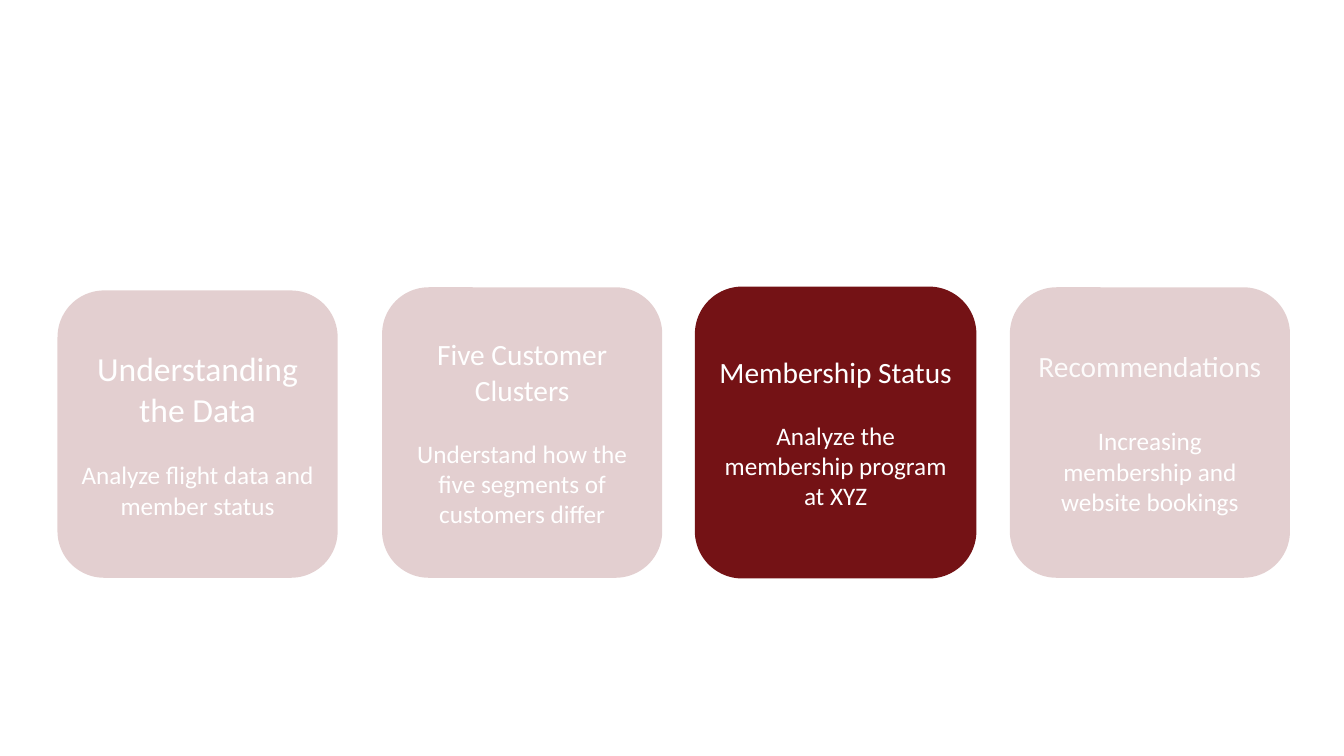
from dataclasses import dataclass

from lxml.etree import SubElement
from pptx import Presentation
from pptx.dml.color import RGBColor
from pptx.enum.shapes import MSO_SHAPE
from pptx.enum.text import MSO_ANCHOR, PP_ALIGN
from pptx.oxml.ns import qn
from pptx.util import Cm, Pt

COLORS = {"maroon": "741215", "white": "FFFFFF"}
FONT = "Calibri"

# Card geometry in centimetres
CARD_WIDTH = 7.06
CARD_TOP = 7.24
CARD_BOTTOM = 14.56


@dataclass
class Card:
    left: float
    heading: str
    detail: str
    top: float = CARD_TOP
    heading_size: int = 21
    gap: int = 22
    active: bool = False
    text_opacity: int = 100


CARDS = [
    Card(1.45, "Understanding the Data", "Analyze flight data and member status",
         top=7.32, heading_size=24),
    Card(9.63, "Five Customer Clusters",
         "Understand how the five segments of customers differ"),
    Card(25.45, "Recommendations", "Increasing membership and website bookings",
         gap=30, text_opacity=92),
    Card(17.53, "Membership Status", "Analyze the membership program at XYZ",
         active=True),
]


def paint(fill, color: str, opacity: int = 100) -> None:
    """Apply a solid colour, adding an alpha value when it is see-through."""
    fill.solid()
    fill.fore_color.rgb = RGBColor.from_string(COLORS[color])
    if opacity < 100:
        color_element = fill._xPr.find(qn("a:solidFill"))[0]
        SubElement(color_element, qn("a:alpha")).set("val", str(opacity * 1000))


def write_line(para, text: str, size: int, opacity: int) -> None:
    para.alignment = PP_ALIGN.CENTER
    span = para.add_run()
    span.text = text
    span.font.name = FONT
    span.font.size = Pt(size)
    paint(span.font.fill, "white", opacity)


def draw_card(page, card: Card) -> None:
    box = page.shapes.add_shape(
        MSO_SHAPE.ROUNDED_RECTANGLE, Cm(card.left), Cm(card.top),
        Cm(CARD_WIDTH), Cm(CARD_BOTTOM - card.top))
    box.shadow.inherit = False

    # The current section is solid, the others are faded
    paint(box.fill, "maroon", 100 if card.active else 20)
    if card.active:
        paint(box.line.fill, "maroon")
        box.line.width = Pt(1)
    else:
        box.line.fill.background()

    # Heading and detail
    frame = box.text_frame
    frame.word_wrap = True
    frame.vertical_anchor = MSO_ANCHOR.MIDDLE
    write_line(frame.paragraphs[0], card.heading, card.heading_size, card.text_opacity)
    detail = frame.add_paragraph()
    detail.space_before = Pt(card.gap)
    write_line(detail, card.detail, 18, 100)


def main() -> None:
    deck = Presentation()
    deck.slide_width, deck.slide_height = Cm(33.87), Cm(19.05)
    page = deck.slides.add_slide(deck.slide_layouts[6])
    for card in CARDS:
        draw_card(page, card)
    deck.save("out.pptx")


if __name__ == "__main__":
    main()
